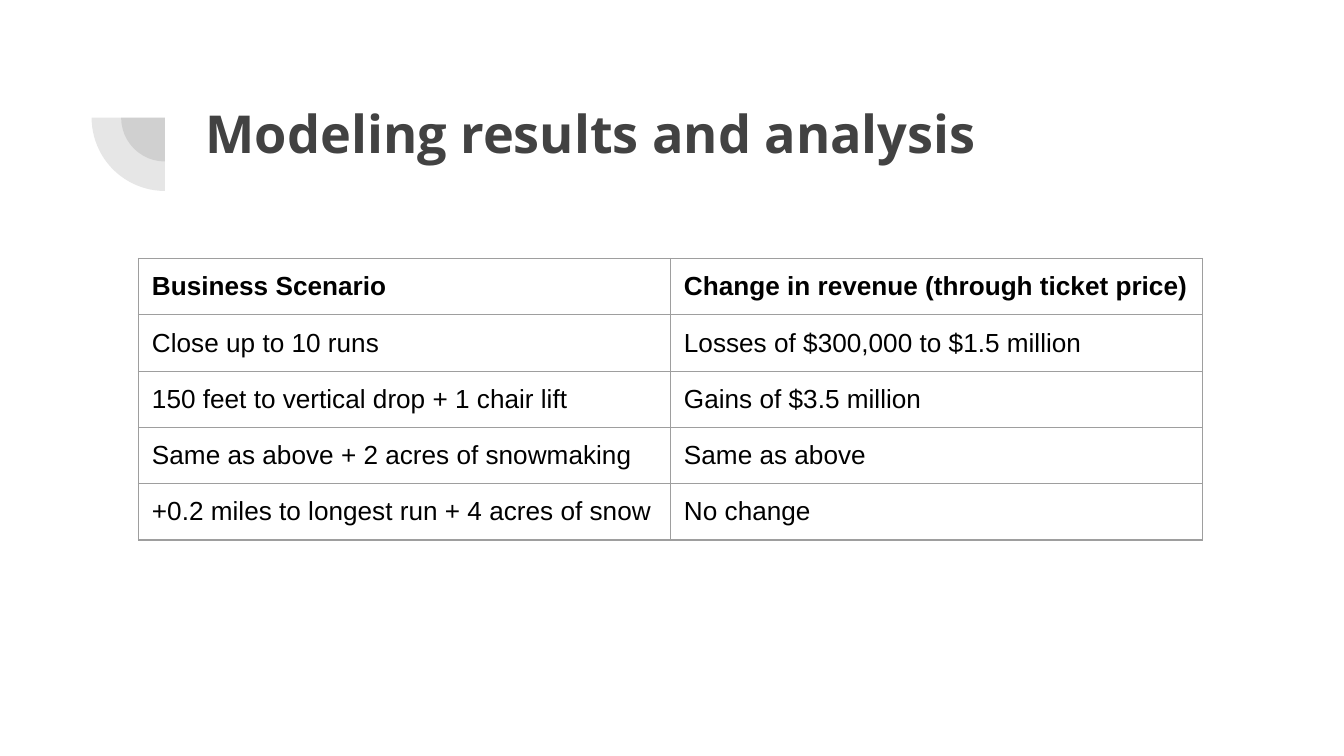
"""Build the slide on modeling results, with a table of business scenarios."""
from lxml.etree import SubElement
from pptx import Presentation
from pptx.dml.color import RGBColor
from pptx.enum.shapes import MSO_SHAPE
from pptx.enum.text import MSO_ANCHOR, PP_ALIGN
from pptx.oxml import parse_xml
from pptx.oxml.ns import qn
from pptx.util import Pt

DARK = RGBColor(0x42, 0x42, 0x42)
BLACK = RGBColor(0x00, 0x00, 0x00)
BORDER = RGBColor(0x9E, 0x9E, 0x9E)
INSET = Pt(7.2)
NAMESPACE = "http://schemas.openxmlformats.org/drawingml/2006/main"


def write(frame, text, font="Arial", size=14, color=BLACK, bold=False):
    frame.text = text
    frame.vertical_anchor = MSO_ANCHOR.TOP
    frame.margin_left = frame.margin_right = INSET
    frame.margin_top = frame.margin_bottom = INSET
    paragraph = frame.paragraphs[0]
    paragraph.alignment = PP_ALIGN.LEFT
    run_font = paragraph.runs[0].font
    run_font.name = font
    run_font.size = Pt(size)
    run_font.bold = bold
    run_font.color.rgb = color


def outline(cell):
    properties = cell._tc.get_or_add_tcPr()
    for position, side in enumerate(("lnL", "lnR", "lnT", "lnB")):
        border = parse_xml(
            f'<a:{side} xmlns:a="{NAMESPACE}" w="{Pt(0.75)}"><a:solidFill>'
            f'<a:srgbClr val="{BORDER}"/></a:solidFill></a:{side}>'
        )
        properties.insert(position, border)


presentation = Presentation()
presentation.slide_width = Pt(720)
presentation.slide_height = Pt(405)
slide = presentation.slides.add_slide(presentation.slide_layouts[5])

center_x, center_y = 88.4, 63
for radius in (23.5, 39.3):
    quadrant = slide.shapes.add_shape(
        MSO_SHAPE.PIE, Pt(center_x - radius), Pt(center_y - radius),
        Pt(2 * radius), Pt(2 * radius),
    )
    quadrant.adjustments[0] = 108
    quadrant.adjustments[1] = 162
    quadrant.rotation = 270
    quadrant.shadow.inherit = False
    quadrant.line.fill.background()
    quadrant.fill.solid()
    quadrant.fill.fore_color.rgb = DARK
    tint = quadrant.fill._xPr.find(qn("a:solidFill"))[0]
    SubElement(tint, qn("a:alpha"), val="13000")

title = slide.shapes.title
title.left, title.top = Pt(103), Pt(46.8)
title.width, title.height = Pt(553.7), Pt(78.5)
write(title.text_frame, "Modeling results and analysis",
      font="Open Sans", size=28, color=DARK, bold=True)

scenarios = [
    ("Business Scenario", "Change in revenue (through ticket price)"),
    ("Close up to 10 runs", "Losses of $300,000 to $1.5 million"),
    ("150 feet to vertical drop + 1 chair lift", "Gains of $3.5 million"),
    ("Same as above + 2 acres of snowmaking", "Same as above"),
    ("+0.2 miles to longest run + 4 acres of snow", "No change"),
]
results = slide.shapes.add_table(
    len(scenarios), 2, Pt(74.2), Pt(138.5), Pt(570), Pt(30 * len(scenarios))
).table
results.first_row = False
results.horz_banding = False
for row, texts in enumerate(scenarios):
    for column, text in enumerate(texts):
        cell = results.cell(row, column)
        cell.fill.background()
        write(cell.text_frame, text, bold=row == 0)
        cell.vertical_anchor = MSO_ANCHOR.TOP
        cell.margin_left = cell.margin_right = INSET
        cell.margin_top = cell.margin_bottom = INSET
        outline(cell)

presentation.save("out.pptx")
